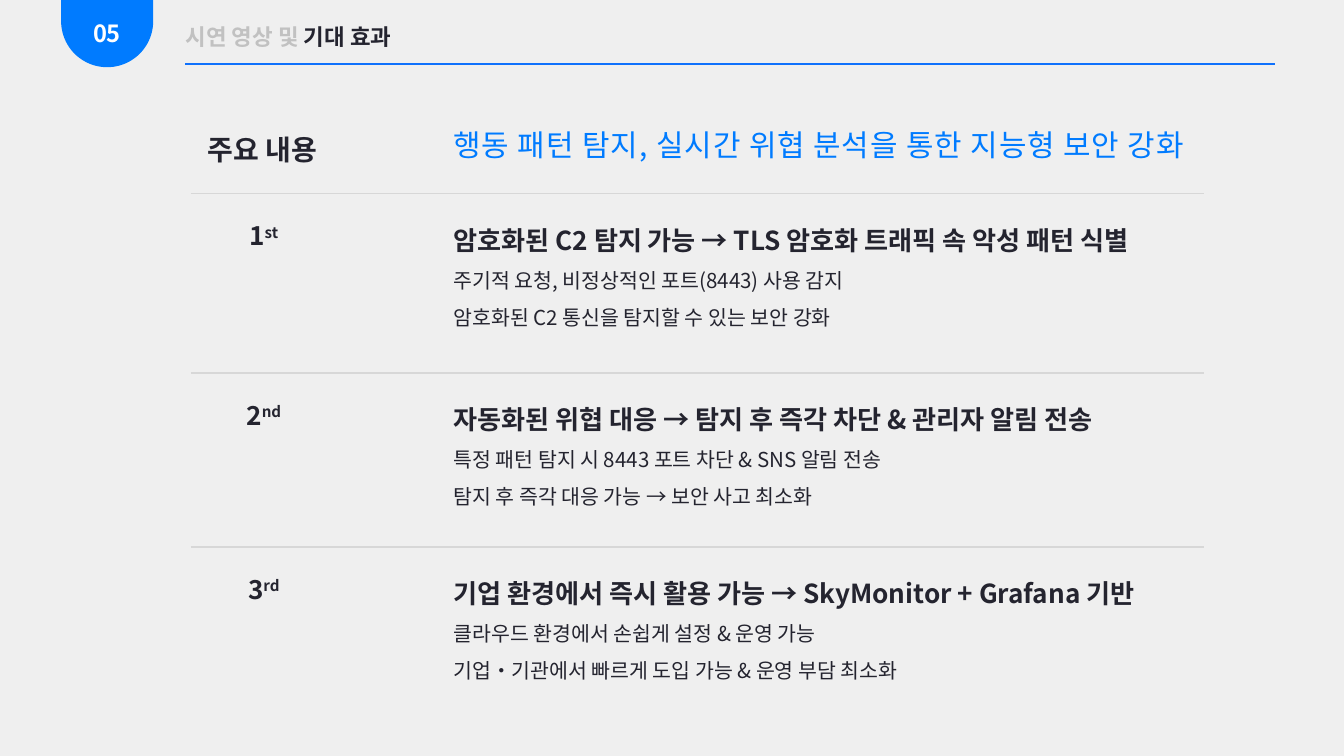
from lxml.etree import SubElement
from pptx import Presentation
from pptx.dml.color import RGBColor
from pptx.enum.shapes import MSO_CONNECTOR as Connector, MSO_SHAPE as Shape
from pptx.enum.text import MSO_ANCHOR as Anchor, MSO_AUTO_SIZE as AutoSize, PP_ALIGN as Align
from pptx.oxml.ns import qn
from pptx.util import Inches, Pt

BLUE = RGBColor(0x00, 0x7B, 0xFF)
HEADER_BLUE = RGBColor(0x0F, 0x71, 0xFC)
INK = RGBColor(0x24, 0x24, 0x2F)
MUTED = RGBColor(0xC1, 0xC1, 0xC1)
RULE_GRAY = RGBColor(0xD7, 0xD7, 0xD7)
BACKGROUND = RGBColor(0xEF, 0xEF, 0xEF)
WHITE = RGBColor(0xFF, 0xFF, 0xFF)

# Top of the row, ordinal, suffix, heading, details
EFFECTS = [
    (2.88, "1", "st", "암호화된 C2 탐지 가능 → TLS 암호화 트래픽 속 악성 패턴 식별",
     ["주기적 요청, 비정상적인 포트(8443) 사용 감지",
      "암호화된 C2 통신을 탐지할 수 있는 보안 강화"]),
    (5.55, "2", "nd", "자동화된 위협 대응 → 탐지 후 즉각 차단 & 관리자 알림 전송",
     ["특정 패턴 탐지 시 8443 포트 차단 & SNS 알림 전송",
      "탐지 후 즉각 대응 가능 → 보안 사고 최소화"]),
    (8.14, "3", "rd", "기업 환경에서 즉시 활용 가능 → SkyMonitor + Grafana 기반",
     ["클라우드 환경에서 손쉽게 설정 & 운영 가능",
      "기업·기관에서 빠르게 도입 가능 & 운영 부담 최소화"]),
]


class SlideBuilder:
    font_name = "Noto Sans CJK SC"
    rule_width = Pt(1.5)

    def __init__(self, page):
        self.page = page
        page.background.fill.solid()
        page.background.fill.fore_color.rgb = BACKGROUND

    def span(self, para, text, size, color=INK, bold=False, spacing=0, raised=False):
        """Add one run without kerning; spacing is in points, raised makes a superscript."""
        run = para.add_run()
        run.text = text
        font = run.font
        font.size, font.bold, font.name = Pt(size), bold, self.font_name
        font.color.rgb = color
        properties = run._r.get_or_add_rPr()
        SubElement(properties, qn("a:ea"), typeface=self.font_name)
        properties.set("kern", "0")
        if spacing:
            properties.set("spc", str(round(spacing * 100)))
        if raised:
            properties.set("baseline", "30000")

    def paragraph(self, frame, line_spacing, align=Align.LEFT, first=True):
        """Return a plain paragraph without bullet, indent or space around it."""
        para = frame.paragraphs[0] if first else frame.add_paragraph()
        properties = para._p.get_or_add_pPr()
        properties.set("marL", "0")
        properties.set("indent", "0")
        SubElement(properties, qn("a:buNone"))
        para.alignment, para.line_spacing = align, line_spacing
        para.space_before = para.space_after = Pt(0)
        return para

    def frame(self, box, anchor=Anchor.TOP, inset=0):
        frame = box.text_frame
        frame.word_wrap, frame.auto_size = True, AutoSize.NONE
        frame.vertical_anchor = anchor
        frame.margin_left = frame.margin_right = Inches(inset)
        frame.margin_top = frame.margin_bottom = Inches(inset)
        return frame

    def placeholder(self, index, left, top, width, height):
        """Move a layout placeholder and return its text frame."""
        box = self.page.placeholders[index]
        box.left, box.top = Inches(left), Inches(top)
        box.width, box.height = Inches(width), Inches(height)
        return self.frame(box)

    def label(self, left, top, width, height):
        box = self.page.shapes.add_textbox(
            Inches(left), Inches(top), Inches(width), Inches(height))
        return self.frame(box)

    def rule(self, left, right, top, color):
        line = self.page.shapes.add_connector(
            Connector.STRAIGHT, Inches(left), Inches(top), Inches(right), Inches(top))
        line.line.color.rgb, line.line.width = color, self.rule_width
        SubElement(line._element.spPr, qn("a:effectLst"))

    def badge(self, number):
        """Draw the rounded tab that hangs from the top edge."""
        tab = self.page.shapes.add_shape(
            Shape.ROUNDED_RECTANGLE, Inches(0.91), Inches(-1), Inches(1.37), Inches(2))
        tab.adjustments[0] = 0.5
        tab.shadow.inherit = False
        tab.fill.solid()
        tab.fill.fore_color.rgb = BLUE
        tab.line.fill.background()
        # The rounded corners already inset the text by 0.2 inches
        frame = self.frame(tab, Anchor.BOTTOM, 0.09)
        para = self.paragraph(frame, Pt(35.9), Align.CENTER)
        self.span(para, number, 25.3, WHITE, bold=True, spacing=-0.4)

    def effect(self, index, top, ordinal, suffix, heading, details):
        """Draw one row: rule, ordinal and list."""
        self.rule(2.84, 17.92, top, RULE_GRAY)
        para = self.paragraph(self.label(3.08, top + 0.37, 1.69, 0.49), Pt(35), Align.CENTER)
        self.span(para, ordinal, 28, bold=True)
        self.span(para, suffix, 28, bold=True, raised=True)
        frame = self.placeholder(index, 6.75, top + 0.22, 12.31, 1.82)
        self.span(self.paragraph(frame, 1.5), heading, 28, bold=True)
        for detail in details:
            self.span(self.paragraph(frame, 1.5, first=False), detail, 22)


def main():
    deck = Presentation()
    deck.slide_width, deck.slide_height = Inches(20), Inches(11.25)
    comparison_layout = deck.slide_layouts[4]  # a title and four body placeholders
    builder = SlideBuilder(deck.slides.add_slide(comparison_layout))

    builder.badge("05")
    title = builder.paragraph(builder.placeholder(0, 2.76, 0.27, 9.74, 0.48), Pt(33.6))
    builder.span(title, "시연 영상 및 ", 24, MUTED, bold=True)
    builder.span(title, "기대 효과", 24, bold=True)
    builder.rule(2.76, 18.98, 0.95, HEADER_BLUE)

    caption = builder.paragraph(builder.label(3.08, 1.89, 1.65, 0.55), Pt(42), Align.CENTER)
    builder.span(caption, "주요 내용", 30, bold=True)
    headline = builder.paragraph(builder.placeholder(1, 6.75, 1.88, 12.58, 0.54), 1.0)
    builder.span(headline, "행동 패턴 탐지, 실시간 위협 분석을 통한 지능형 보안 강화",
                 32, BLUE, spacing=1)

    for index, effect in enumerate(EFFECTS, start=2):
        builder.effect(index, *effect)
    deck.save("out.pptx")


if __name__ == "__main__":
    main()
